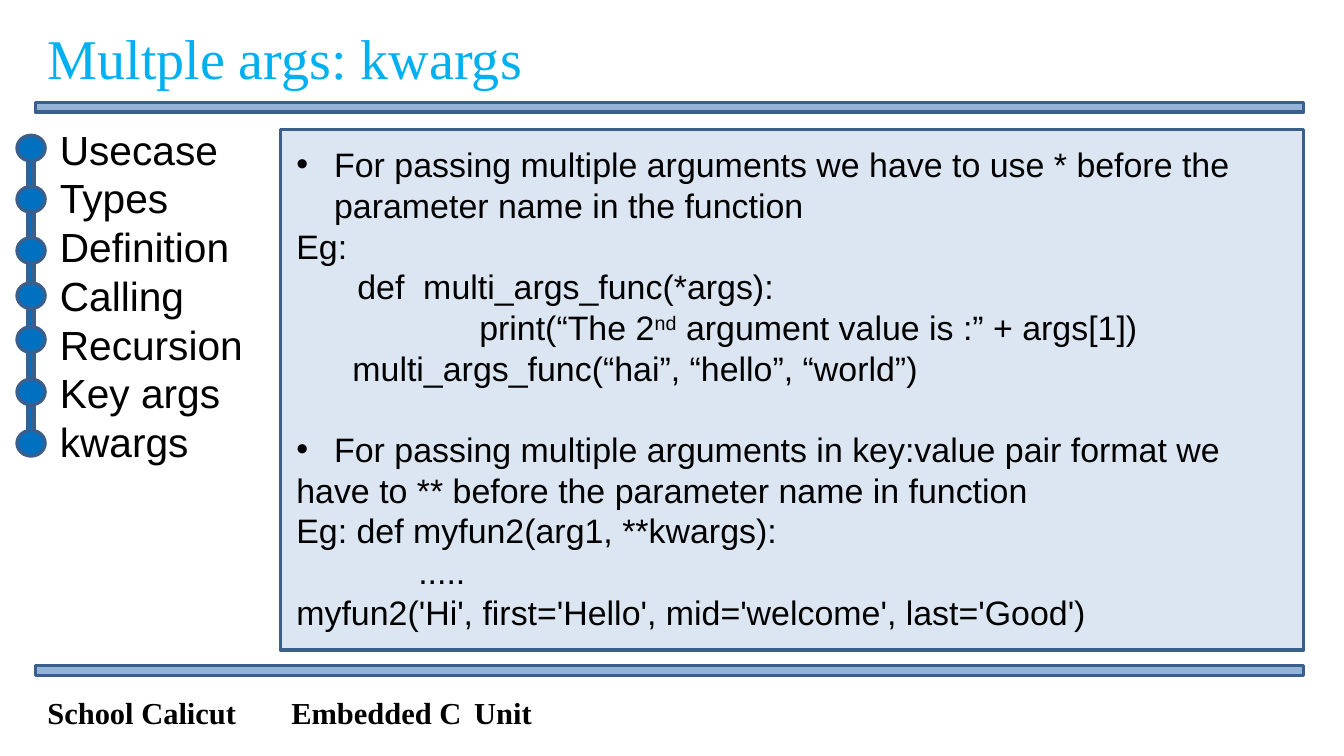
from itertools import pairwise

from lxml.etree import SubElement
from pptx import Presentation
from pptx.dml.color import RGBColor
from pptx.enum.shapes import MSO_SHAPE as Preset
from pptx.enum.text import MSO_ANCHOR as Anchor, MSO_AUTO_SIZE as AutoSize, PP_ALIGN as Align
from pptx.oxml.ns import qn
from pptx.util import Inches, Pt

CELL = 0.1  # inches per grid column and row
BLUE, EDGE, BAR, PANEL = "0070C0", "3A5F8C", "93B3D7", "DCE6F2"
SANS, SERIF = "Arial", "Times New Roman"


def color(value):
    """Turn a hex string into a colour."""
    return RGBColor.from_string(value)


def grid(cells):
    """Turn grid columns or rows into a length."""
    return Inches(cells * CELL)


def paint(shape, fill, edge):
    """Give a shape a plain fill and a two point outline."""
    shape.fill.solid()
    shape.fill.fore_color.rgb = color(fill)
    shape.line.color.rgb = color(edge)
    shape.line.width = Pt(2)


def write(para, text, font=SANS, size=20, ink="000000", bold=False,
          left=0, bullet=False, before=0, tabs=()):
    """Fill a paragraph; text between carets is superscript."""
    para.alignment = Align.LEFT
    para.line_spacing = Pt(size * 1.2)
    para.space_before, para.space_after = Pt(before), Pt(0)
    properties = para._p.get_or_add_pPr()
    properties.set("marL", str(grid(left)))
    properties.set("indent", str(grid(-left if bullet else 0)))
    if bullet:
        SubElement(properties, qn("a:buFont")).set("typeface", SANS)
        SubElement(properties, qn("a:buChar")).set("char", "•")
    else:
        SubElement(properties, qn("a:buNone"))
    if tabs:
        stops = SubElement(properties, qn("a:tabLst"))
        for column in tabs:
            stop = SubElement(stops, qn("a:tab"))
            stop.set("pos", str(grid(column)))
            stop.set("algn", "l")
    for index, part in enumerate(text.split("^")):
        span = para.add_run()
        span.text = part
        span.font.name, span.font.size, span.font.bold = font, Pt(size), bold
        span.font.color.rgb = color(ink)
        if index % 2:
            span.font._element.set("baseline", "30000")


class Lesson:
    """Holds the deck and its current page."""

    def __init__(self, columns, rows):
        """Open a deck of the given size with one two-content page."""
        self.deck = Presentation()
        self.deck.slide_width, self.deck.slide_height = grid(columns), grid(rows)
        self.page = self.deck.slides.add_slide(self.deck.slide_layouts[3])

    def fill_text(self, box, place, lines, margins=(1, 0.5, 1, 0.5), **style):
        """Place a text holder and write its lines of (text, format)."""
        box.left, box.top, box.width, box.height = map(grid, place)
        frame = box.text_frame
        frame.word_wrap, frame.auto_size = True, AutoSize.NONE
        frame.vertical_anchor = Anchor.TOP
        (frame.margin_left, frame.margin_top,
         frame.margin_right, frame.margin_bottom) = map(grid, margins)
        for index, (text, extra) in enumerate(lines):
            para = frame.add_paragraph() if index else frame.paragraphs[0]
            write(para, text, **style, **extra)
        return box

    def holder(self, index, place, lines, **style):
        """Move and fill a template placeholder."""
        return self.fill_text(self.page.placeholders[index], place, lines, **style)

    def label(self, place, text, **style):
        """Add a text box with one line."""
        box = self.page.shapes.add_textbox(*map(grid, place))
        return self.fill_text(box, place, [(text, {})], **style)

    def shape(self, preset, place, fill, edge=EDGE):
        """Add a flat preset shape."""
        shape = self.page.shapes.add_shape(preset, *map(grid, place))
        shape.shadow.inherit = False
        paint(shape, fill, edge)

    def bead_chain(self, left, tops, width=2.3, height=2.1, link=0.5):
        """Add a column of beads joined by links."""
        for top in tops:
            self.shape(Preset.OVAL, (left, top, width, height), BLUE)
        for top, following in pairwise(tops):
            start = top + height
            self.shape(Preset.RECTANGLE,
                       (left + (width - link) / 2, start, link, following - start), BLUE)


EXPLANATION = [
    ("For passing multiple arguments we have to use * before the "
     "parameter name in the function", dict(bullet=True, left=3.1)),
    ("Eg:", {}),
    ("def  multi_args_func(*args):", dict(left=5)),
    ("print(“The 2^nd^ argument value is :” + args[1])", dict(left=15)),
    ("multi_args_func(“hai”, “hello”, “world”)", dict(left=4.6)),
    ("For passing multiple arguments in key:value pair format we",
     dict(bullet=True, left=3.1, before=24)),
    ("have to ** before the parameter name in function", {}),
    ("Eg: def myfun2(arg1, **kwargs):", {}),
    (".....", dict(left=10)),
    ("myfun2('Hi', first='Hello', mid='welcome', last='Good')", {}),
]
TOPICS = ["Usecase", "Types", "Definition", "Calling", "Recursion", "Key args", "kwargs"]

lesson = Lesson(110.2, 62)
lesson.holder(0, (2.9, 1.4, 60, 6.6), [("Multple args: kwargs", {})],
              font=SERIF, size=33.1, ink="00B0F0")
panel = lesson.holder(1, (23, 10.6, 83.9, 42.7), EXPLANATION, margins=(1.3, 1.2, 4.4, 0.5))
paint(panel, PANEL, EDGE)
lesson.holder(2, (3.9, 9.7, 19, 29.3), [(topic, {}) for topic in TOPICS], size=24)
for bar_top in (8.4, 54.6):
    lesson.shape(Preset.RECTANGLE, (2.9, bar_top, 104, 0.8), BAR)
lesson.bead_chain(1.4, [11.1, 15.3, 19.5, 23.2, 26.8, 31.1, 35.3])
lesson.label((2.9, 56.4, 104, 3.8), "School Calicut\tEmbedded C\tUnit",
             font=SERIF, size=18, bold=True, tabs=(42, 90.5))
lesson.deck.save("out.pptx")
